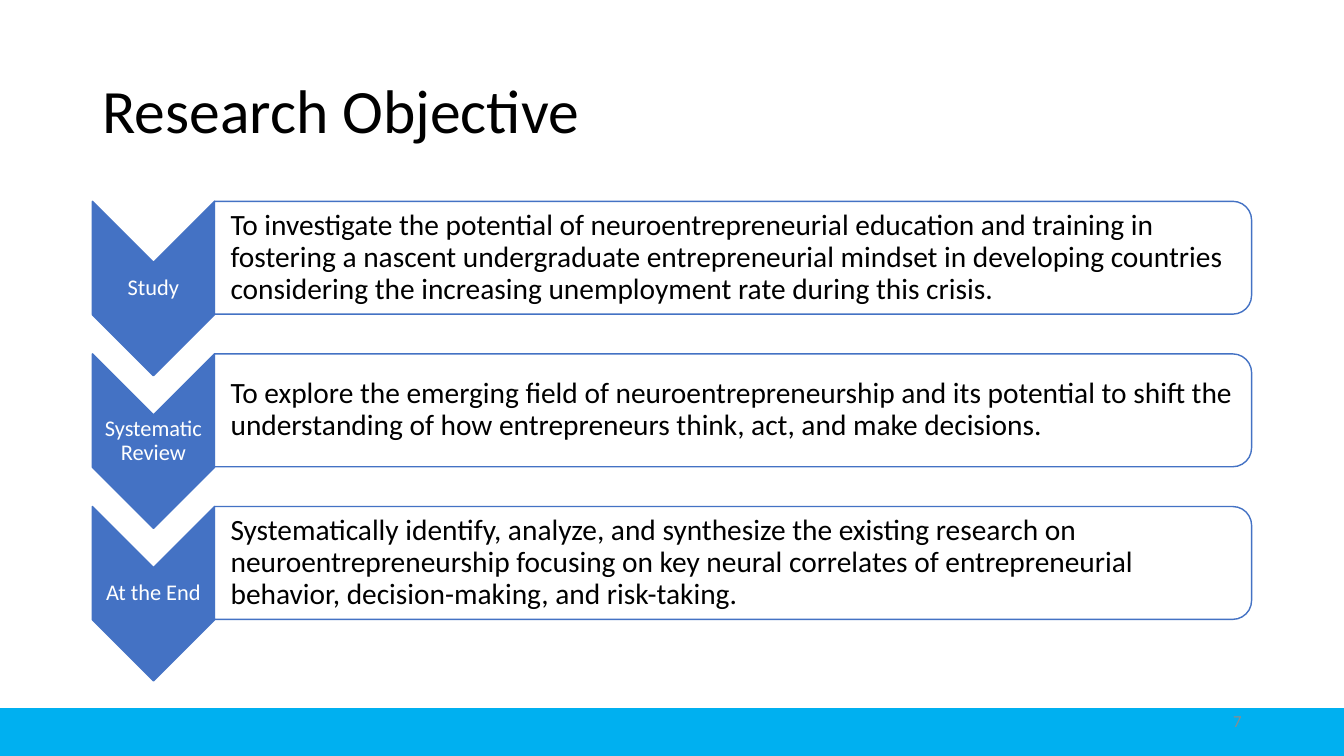
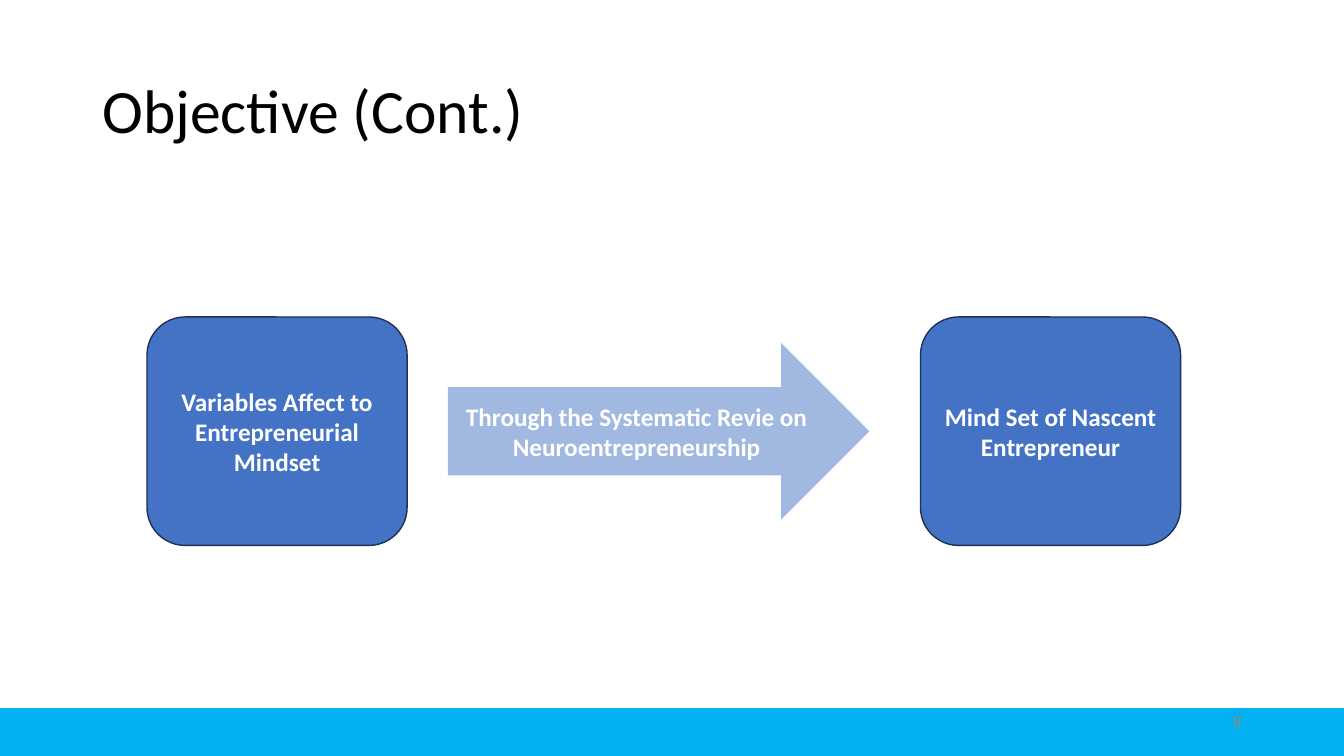
from lxml import etree
from pptx import Presentation
from pptx.dml.color import RGBColor
from pptx.enum.shapes import MSO_SHAPE
from pptx.enum.text import MSO_ANCHOR, PP_ALIGN
from pptx.oxml.ns import qn
from pptx.util import Pt

LEFT, CENTER, RIGHT = PP_ALIGN.LEFT, PP_ALIGN.CENTER, PP_ALIGN.RIGHT
MIDDLE = MSO_ANCHOR.MIDDLE
RECT, ROUNDED = MSO_SHAPE.RECTANGLE, MSO_SHAPE.ROUNDED_RECTANGLE
CHEVRON, ARROW = MSO_SHAPE.CHEVRON, MSO_SHAPE.RIGHT_ARROW
ROUND_TOP = MSO_SHAPE.ROUND_2_SAME_RECTANGLE

FONT = "Calibri"
COLORS = {
    "blue": "4472C4",
    "navy": "1E3256",
    "band": "00B0F0",
    "white": "FFFFFF",
    "black": "000000",
    "gray": "8C8C8C",
}
FIRST_NUMBER = 7


def add_block(slide, preset, box, fill, line=None, opacity=100):
    """Add a filled preset shape; box is left, top, width, height in points."""
    block = slide.shapes.add_shape(preset, *[Pt(length) for length in box])
    block.shadow.inherit = False
    block.fill.solid()
    block.fill.fore_color.rgb = RGBColor.from_string(COLORS[fill])
    if opacity < 100:
        color = block.fill._xPr.find(qn("a:solidFill"))[0]
        etree.SubElement(color, qn("a:alpha"), val=str(opacity * 1000))
    if line:
        block.line.color.rgb = RGBColor.from_string(COLORS[line])
        block.line.width = Pt(1)
    else:
        block.line.fill.background()
    return block


def write(holder, text, size, color, align, bold=False, spacing=1.0, insets=(7.2, 3.6, 7.2, 3.6)):
    """Put one formatted paragraph in a shape, text box or placeholder."""
    frame = holder.text_frame
    frame.text = text
    frame.word_wrap = True
    frame.vertical_anchor = MIDDLE
    frame.margin_left, frame.margin_top, frame.margin_right, frame.margin_bottom = map(Pt, insets)
    paragraph = frame.paragraphs[0]
    paragraph.alignment = align
    paragraph.line_spacing = spacing
    font = paragraph.runs[0].font
    font.name, font.size, font.bold = FONT, Pt(size), bold
    font.color.rgb = RGBColor.from_string(COLORS[color])


prs = Presentation()
prs.slide_width, prs.slide_height = Pt(960), Pt(540)

# Shared title, bottom band and slide number
slides = []
for number, heading in enumerate(["Research Objective", "Objective (Cont.)"], FIRST_NUMBER):
    slide = prs.slides.add_slide(prs.slide_layouts[5])
    title = slide.shapes.title
    title.left, title.top, title.width, title.height = Pt(66), Pt(28.75), Pt(828), Pt(104.4)
    write(title, heading, 44, "black", LEFT, spacing=0.9)
    add_block(slide, RECT, (0, 506, 960, 34), "band", "band")
    page_number = slide.shapes.add_textbox(Pt(678), Pt(500.5), Pt(216), Pt(28.75))
    write(page_number, str(number), 12, "gray", RIGHT)
    slides.append(slide)
objective_slide, model_slide = slides

# Research Objective: chevrons pointing down, each with a statement
OBJECTIVES = [
    ("Study",
     "To investigate the potential of neuroentrepreneurial education and training in "
     "fostering a nascent undergraduate entrepreneurial mindset in developing countries "
     "considering the increasing unemployment rate during this crisis."),
    ("Systematic Review",
     "To explore the emerging field of neuroentrepreneurship and its potential to shift "
     "the understanding of how entrepreneurs think, act, and make decisions."),
    ("At the End",
     "Systematically identify, analyze, and synthesize the existing research on "
     "neuroentrepreneurship focusing on key neural correlates of entrepreneurial "
     "behavior, decision-making, and risk-taking."),
]
ROW_TOP, ROW_PITCH = 143.8, 109
STEP_LEFT, STEP_WIDTH, STEP_HEIGHT = 66, 87.2, 124.6
PANEL_WIDTH, PANEL_HEIGHT = 740.8, 80.6
panel_left = STEP_LEFT + STEP_WIDTH

for row, (step, statement) in enumerate(OBJECTIVES):
    top = ROW_TOP + row * ROW_PITCH
    # Both shapes are turned by 90 degrees about their centre
    for preset, left, width, height, fill, opacity in [
        (CHEVRON, STEP_LEFT, STEP_WIDTH, STEP_HEIGHT, "blue", 100),
        (ROUND_TOP, panel_left, PANEL_WIDTH, PANEL_HEIGHT, "white", 90),
    ]:
        shift = (width - height) / 2
        turned_box = (left + shift, top - shift, height, width)
        add_block(objective_slide, preset, turned_box, fill, "blue", opacity).rotation = 90

    step_label = objective_slide.shapes.add_textbox(
        Pt(STEP_LEFT), Pt(top + STEP_WIDTH / 2), Pt(STEP_WIDTH), Pt(37.4))
    write(step_label, step, 16, "white", CENTER, spacing=0.9, insets=(0.8, 0.8, 0.8, 0.8))
    statement_text = objective_slide.shapes.add_textbox(
        Pt(panel_left), Pt(top + 4), Pt(737), Pt(72.6))
    write(statement_text, statement, 21, "black", LEFT, spacing=0.9, insets=(11.5, 0.8, 0.8, 0.8))

# Objective (Cont.): cause and outcome joined by an arrow
for left, concept in [
    (105, "Variables Affect to Entrepreneurial Mindset"),
    (657.5, "Mind Set of Nascent Entrepreneur"),
]:
    concept_box = add_block(model_slide, ROUNDED, (left, 226.4, 185.8, 163.2), "blue", "navy")
    write(concept_box, concept, 18, "white", CENTER, bold=True)

review_arrow = add_block(model_slide, ARROW, (320, 245, 301, 126), "blue", opacity=50)
write(review_arrow, "Through the Systematic Revie on Neuroentrepreneurship", 18, "white", CENTER, bold=True)

prs.save("out.pptx")
